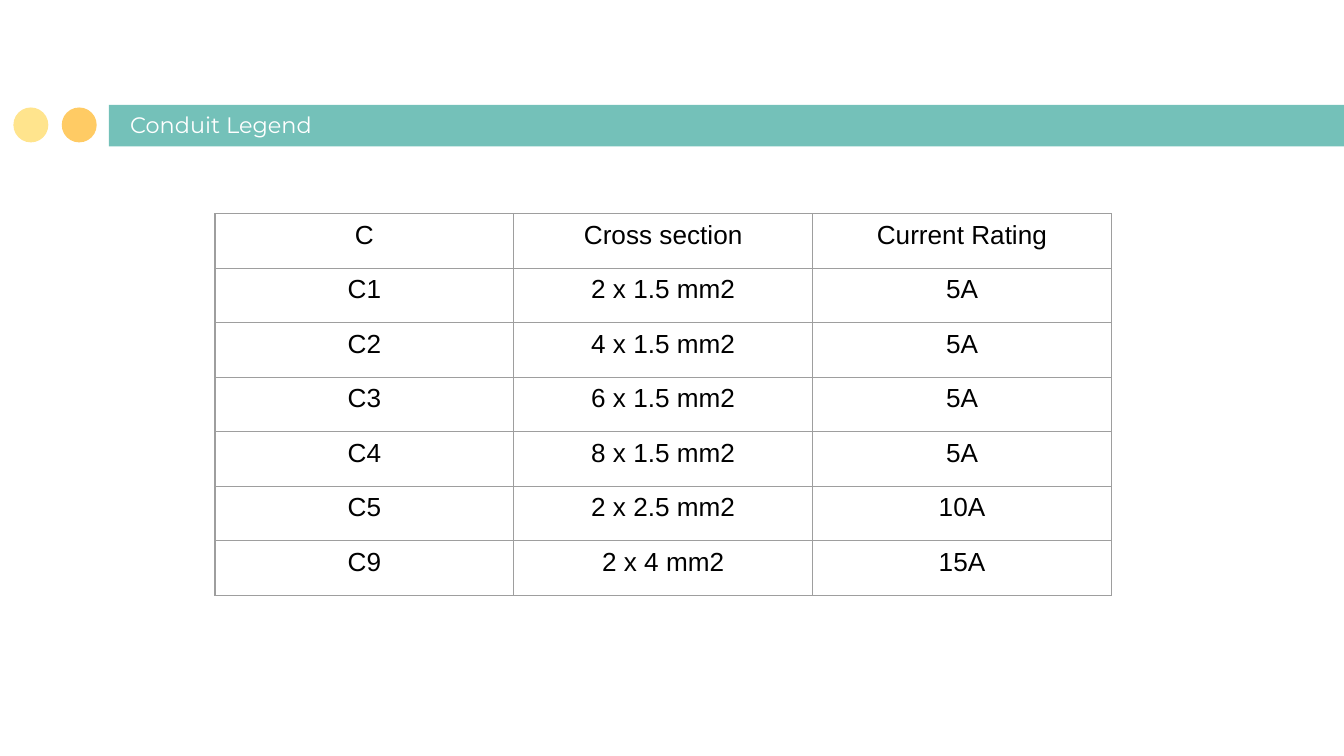
import lxml.etree
import pptx
import pptx.dml.color
import pptx.enum.shapes
import pptx.enum.text
import pptx.oxml.ns
import pptx.util
from pptx.util import Inches

COLORS = {
    "teal": "74C1B9",
    "orange": "FFCB64",
    "yellow": "FFE48D",
    "white": "FFFFFF",
    "black": "000000",
    "border": "9E9E9E",
}
ROWS = [
    ("C", "Cross section", "Current Rating"),
    ("C1", "2 x 1.5 mm2", "5A"),
    ("C2", "4 x 1.5 mm2", "5A"),
    ("C3", "6 x 1.5 mm2", "5A"),
    ("C4", "8 x 1.5 mm2", "5A"),
    ("C5", "2 x 2.5 mm2", "10A"),
    ("C9", "2 x 4 mm2", "15A"),
]


def format_text(para, font, size, color):
    for span in para.runs:
        span.font.name = font
        span.font.size = pptx.util.Pt(size)
        span.font.color.rgb = pptx.dml.color.RGBColor.from_string(COLORS[color])


def add_borders(cell):
    properties = cell._tc.get_or_add_tcPr()
    for position, side in enumerate(("lnL", "lnR", "lnT", "lnB")):
        line = lxml.etree.Element(pptx.oxml.ns.qn(f"a:{side}"), w=str(pptx.util.Pt(0.75)))
        fill = lxml.etree.SubElement(line, pptx.oxml.ns.qn("a:solidFill"))
        lxml.etree.SubElement(fill, pptx.oxml.ns.qn("a:srgbClr"), val=COLORS["border"])
        properties.insert(position, line)


deck = pptx.Presentation()
deck.slide_width = Inches(10)
deck.slide_height = Inches(10 * 9 / 16)
page = deck.slides.add_slide(deck.slide_layouts[6])

kinds = pptx.enum.shapes.MSO_SHAPE
for kind, left, top, width, height, color in (
    (kinds.RECTANGLE, 0.81, 0.78, 9.5, 0.31, "teal"),
    (kinds.OVAL, 0.46, 0.8, 0.26, 0.26, "orange"),
    (kinds.OVAL, 0.1, 0.8, 0.26, 0.26, "yellow"),
):
    shape = page.shapes.add_shape(kind, Inches(left), Inches(top), Inches(width), Inches(height))
    shape.shadow.inherit = False
    shape.fill.solid()
    shape.fill.fore_color.rgb = pptx.dml.color.RGBColor.from_string(COLORS[color])
    shape.line.fill.background()

title = page.shapes.add_textbox(Inches(0.87), Inches(0.79), Inches(5.48), Inches(0.34))
frame = title.text_frame
frame.word_wrap = True
frame.vertical_anchor = pptx.enum.text.MSO_ANCHOR.BOTTOM
frame.margin_left = frame.margin_right = Inches(0.1)
frame.margin_top = frame.margin_bottom = Inches(0.1)
frame.text = "Conduit Legend"
format_text(frame.paragraphs[0], "Montserrat", 12, "white")

table = page.shapes.add_table(
    len(ROWS), len(ROWS[0]), Inches(1.6), Inches(1.59), Inches(6.67), Inches(2.84)
).table
table.first_row = False
table.horz_banding = False
for row, values in enumerate(ROWS):
    for column, value in enumerate(values):
        cell = table.cell(row, column)
        cell.fill.background()
        add_borders(cell)
        cell.text_frame.text = value
        para = cell.text_frame.paragraphs[0]
        para.alignment = pptx.enum.text.PP_ALIGN.CENTER
        format_text(para, "Arial", 14, "black")

deck.save("out.pptx")
